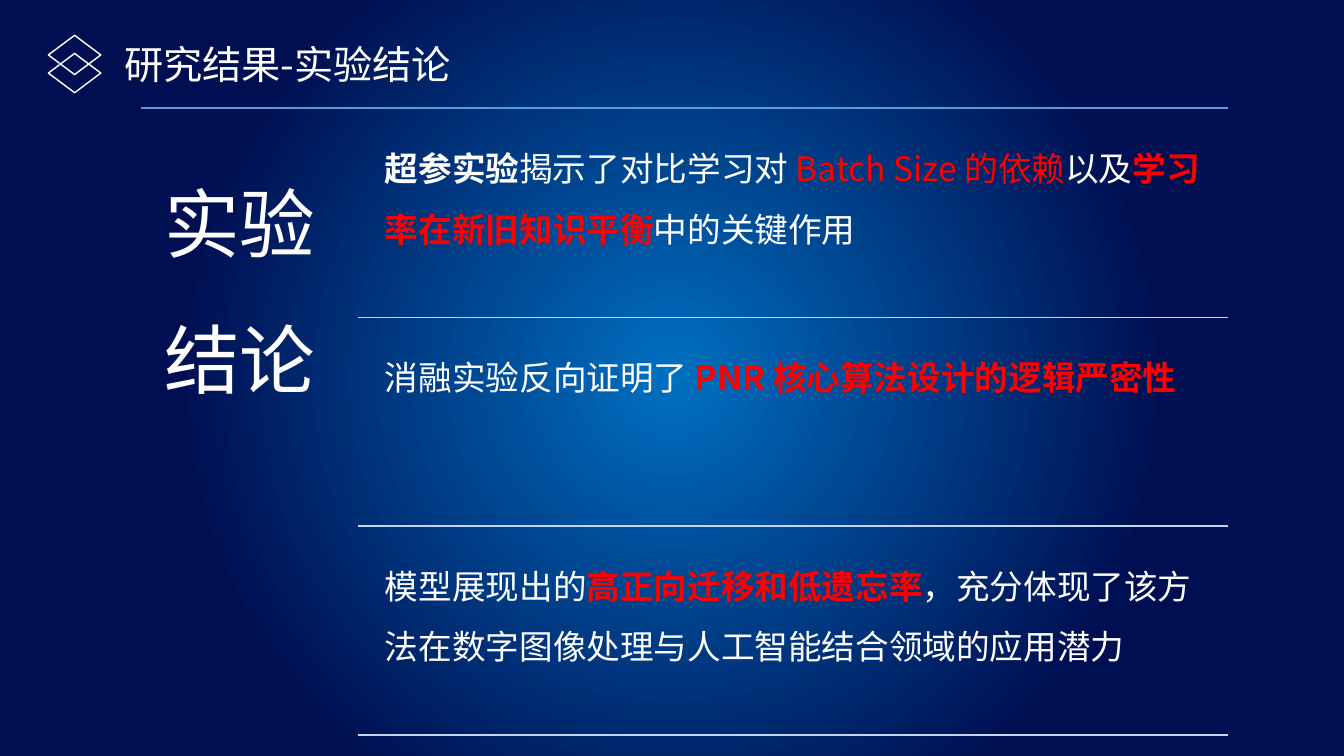
"""Build the slide that lists the three experimental conclusions."""
import pptx
import pptx.dml.color
import pptx.enum.shapes
import pptx.enum.text
import pptx.oxml
import pptx.oxml.ns
import pptx.util

Inches = pptx.util.Inches
WHITE, RED, BLUE, PALE = "FFFFFF", "FF0000", "5B9BD5", "C4D5EB"
CENTRE, EDGE = "0070C0", "000F52"


def rgb(value):
    """Turn a hex string into a colour."""
    return pptx.dml.color.RGBColor.from_string(value)


class SlideBuilder:
    """Hold the style and the current slide."""

    font = "Noto Sans CJK SC"

    def __init__(self, prs):
        """Add a slide with a title placeholder."""
        self.s = prs.slides.add_slide(prs.slide_layouts[5])

    def background(self, centre, edge):
        """Fill the background with a circular gradient."""
        self.s.background.fill.gradient()
        grad = self.s.element.find(".//" + pptx.oxml.ns.qn("a:gradFill"))
        for child in list(grad):
            grad.remove(child)
        ns = pptx.oxml.ns.nsdecls("a")
        stops = "".join(
            f'<a:gs pos="{pos}"><a:srgbClr val="{color}"/></a:gs>'
            for pos, color in ((0, centre), (64000, edge)))
        grad.append(pptx.oxml.parse_xml(f"<a:gsLst {ns}>{stops}</a:gsLst>"))
        grad.append(pptx.oxml.parse_xml(
            f'<a:path {ns} path="circle"><a:fillToRect l="50000" t="50000" '
            'r="50000" b="50000"/></a:path>'))

    def set_runs(self, sp, runs, size, spacing=None, inset=None):
        """Set one left-aligned paragraph of (text, colour, bold) runs."""
        tf = sp.text_frame
        tf.word_wrap = True
        tf.auto_size = pptx.enum.text.MSO_AUTO_SIZE.NONE
        tf.vertical_anchor = pptx.enum.text.MSO_ANCHOR.TOP
        if inset is not None:
            tf.margin_left = tf.margin_right = Inches(inset)
            tf.margin_top = tf.margin_bottom = Inches(inset)
        p = tf.paragraphs[0]
        p.alignment = pptx.enum.text.PP_ALIGN.LEFT
        if spacing:
            p.line_spacing = spacing
        for text, color, bold in runs:
            r = p.add_run()
            r.text = text
            r.font.size = pptx.util.Pt(size)
            r.font.bold = bold
            r.font.color.rgb = rgb(color)
            r.font.name = self.font
            r.font._element.append(pptx.oxml.parse_xml(
                f'<a:ea {pptx.oxml.ns.nsdecls("a")} typeface="{self.font}"/>'))

    def title(self, text, x, y, w, h, size):
        """Place and fill the slide title."""
        sp = self.s.shapes.title
        sp.left, sp.top, sp.width, sp.height = map(Inches, (x, y, w, h))
        self.set_runs(sp, [(text, WHITE, False)], size)

    def text(self, runs, x, y, w, h, size, inset):
        """Add a text box with wide line spacing."""
        sp = self.s.shapes.add_textbox(*map(Inches, (x, y, w, h)))
        self.set_runs(sp, runs, size, 1.5, inset)

    def diamond(self, x, y, w, h):
        """Add an outlined diamond."""
        sp = self.s.shapes.add_shape(
            pptx.enum.shapes.MSO_SHAPE.DIAMOND, *map(Inches, (x, y, w, h)))
        sp.shadow.inherit = False
        sp.fill.background()
        sp.line.color.rgb = rgb(WHITE)
        sp.line.width = pptx.util.Pt(1)

    def rule(self, x1, x2, y, color):
        """Add a horizontal line."""
        line = self.s.shapes.add_connector(
            pptx.enum.shapes.MSO_CONNECTOR.STRAIGHT,
            *map(Inches, (x1, y, x2, y)))
        line.line.color.rgb = rgb(color)
        line.line.width = pptx.util.Pt(1)
        line._element.spPr.append(pptx.oxml.parse_xml(
            f'<a:effectLst {pptx.oxml.ns.nsdecls("a")}/>'))


CONCLUSIONS = [
    [("超参实验", WHITE, True), ("揭示了对比学习对 ", WHITE, False),
     ("Batch Size 的依赖", RED, False), ("以及", WHITE, False),
     ("学习率在新旧知识平衡", RED, True), ("中的关键作用", WHITE, False)],
    [("消融实验反向证明了 ", WHITE, False),
     ("PNR 核心算法设计的逻辑严密性", RED, True)],
    [("模型展现出的", WHITE, False), ("高正向迁移和低遗忘率", RED, True),
     ("，充分体现了该方法在数字图像处理与人工智能结合领域的应用潜力",
      WHITE, False)],
]


def main():
    """Build and save the slide."""
    prs = pptx.Presentation()
    prs.slide_width, prs.slide_height = Inches(13.33), Inches(7.5)
    slide = SlideBuilder(prs)
    slide.background(CENTRE, EDGE)
    slide.title("研究结果-实验结论", 1.13, 0.35, 3.97, 0.57, 28)
    for y in (0.35, 0.53):
        slide.diamond(0.48, y, 0.52, 0.39)

    top, right, pitch = 1.07, 12.18, 2.07
    slide.rule(1.4, right, top, BLUE)
    slide.text([("实验结论", WHITE, False)], 1.4, top, 2.16, 6.32, 54, 0.23)
    for i, runs in enumerate(CONCLUSIONS):
        y = top + i * pitch
        slide.text(runs, 3.72, y + 0.1, 8.47, 1.97, 24, 0.1)
        slide.rule(3.55, right, y + pitch + 0.01, PALE)
    prs.save("out.pptx")


if __name__ == "__main__":
    main()
